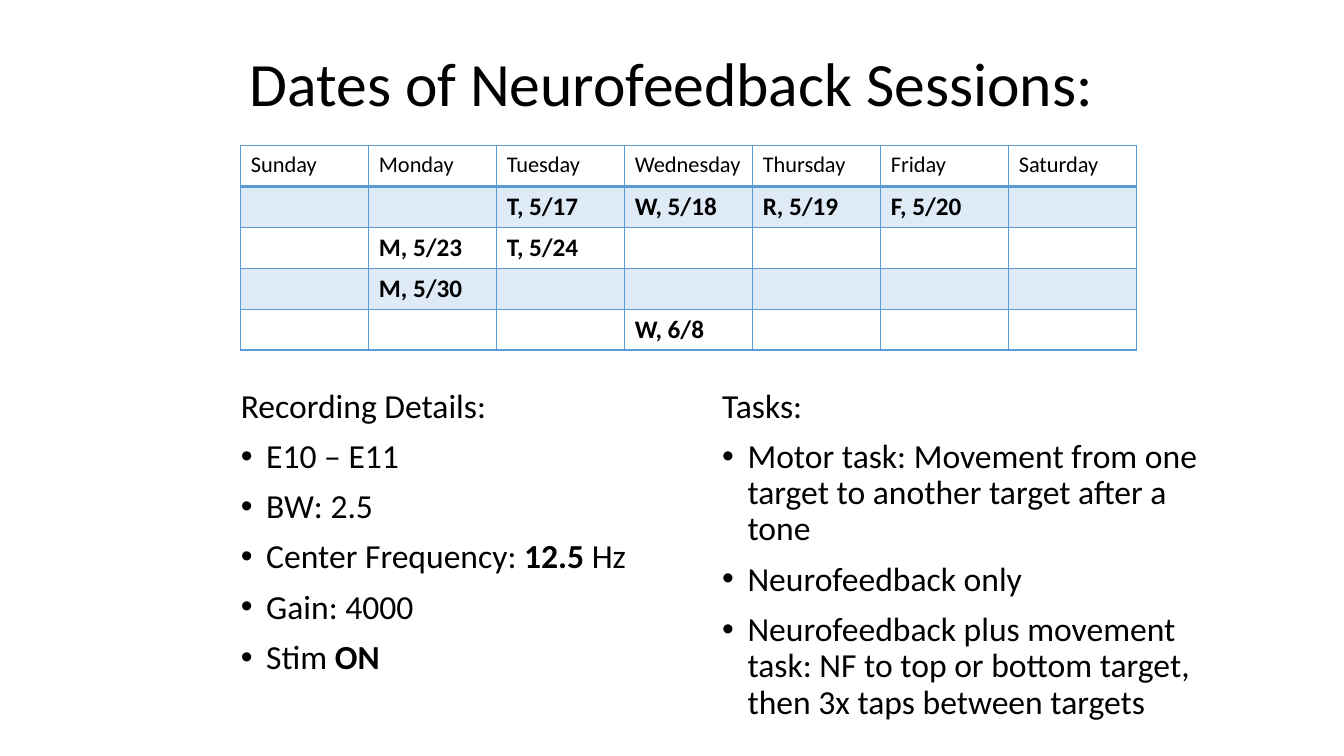
import pptx
import pptx.util
import pptx.dml.color
import pptx.enum.text
import pptx.oxml.ns
import lxml.etree
from dataclasses import dataclass
from pptx.util import Cm, Pt

TITLE = "Dates of Neurofeedback Sessions:"
DAYS = ["Sunday", "Monday", "Tuesday", "Wednesday", "Thursday", "Friday", "Saturday"]
WEEKS = [
    {"Tuesday": "T, 5/17", "Wednesday": "W, 5/18", "Thursday": "R, 5/19", "Friday": "F, 5/20"},
    {"Monday": "M, 5/23", "Tuesday": "T, 5/24"},
    {"Monday": "M, 5/30"},
    {"Wednesday": "W, 6/8"},
]
# Each list item is a sequence of (text, bold) runs.
COLUMNS = [
    ("Recording Details:", [
        [("E10 – E11", False)],
        [("BW: 2.5", False)],
        [("Center Frequency: ", False), ("12.5", True), (" Hz", False)],
        [("Gain: 4000", False)],
        [("Stim ", False), ("ON", True)],
    ]),
    ("Tasks:", [
        [("Motor task: Movement from one target to another target after a tone", False)],
        [("Neurofeedback only", False)],
        [("Neurofeedback plus movement task: NF to top or bottom target, "
          "then 3x taps between targets", False)],
    ]),
]


@dataclass(frozen=True)
class Theme:
    font: str = "Calibri"
    text: str = "000000"
    border: str = "5B9BD5"
    band: str = "DEEBF7"
    title_size: int = 44
    body_size: int = 24
    day_size: int = 16
    date_size: int = 18
    line_spacing: float = 0.9


THEME = Theme()


def add_run(paragraph, text, size, bold=False):
    run = paragraph.add_run()
    run.text = text
    run.font.name = THEME.font
    run.font.size = Pt(size)
    run.font.bold = bold
    run.font.color.rgb = pptx.dml.color.RGBColor.from_string(THEME.text)


def add_text_frame(slide, left, top, width, height):
    frame = slide.shapes.add_textbox(left, top, width, height).text_frame
    frame.word_wrap = True
    return frame


def add_bullet(paragraph):
    properties = paragraph._p.get_or_add_pPr()
    properties.set("marL", str(Cm(0.64)))
    properties.set("indent", str(-Cm(0.64)))
    font = lxml.etree.SubElement(properties, pptx.oxml.ns.qn("a:buFont"))
    font.set("typeface", "Arial")
    lxml.etree.SubElement(properties, pptx.oxml.ns.qn("a:buChar")).set("char", "•")


def set_borders(cell, top, bottom):
    """Draw the four cell edges; top and bottom are widths in points."""
    properties = cell._tc.get_or_add_tcPr()
    edges = [("a:lnL", 1), ("a:lnR", 1), ("a:lnT", top), ("a:lnB", bottom)]
    for position, (tag, width) in enumerate(edges):
        line = lxml.etree.Element(pptx.oxml.ns.qn(tag), w=str(Pt(width)))
        fill = lxml.etree.SubElement(line, pptx.oxml.ns.qn("a:solidFill"))
        lxml.etree.SubElement(fill, pptx.oxml.ns.qn("a:srgbClr")).set("val", THEME.border)
        properties.insert(position, line)


def add_title(slide):
    frame = add_text_frame(slide, Cm(2.33), Cm(0.34), Cm(29.21), Cm(3.68))
    frame.vertical_anchor = pptx.enum.text.MSO_ANCHOR.MIDDLE
    paragraph = frame.paragraphs[0]
    paragraph.alignment = pptx.enum.text.PP_ALIGN.CENTER
    paragraph.line_spacing = THEME.line_spacing
    add_run(paragraph, TITLE, THEME.title_size)


def add_calendar(slide):
    rows = [dict(zip(DAYS, DAYS))] + WEEKS
    column_width, row_height = Cm(3.225), Cm(1.03)
    table = slide.shapes.add_table(
        len(rows), len(DAYS), Cm(6.07), Cm(3.67),
        column_width * len(DAYS), row_height * len(rows)).table
    table.first_row = False
    table.horz_banding = False
    for column in table.columns:
        column.width = column_width
    for row_index, entries in enumerate(rows):
        table.rows[row_index].height = row_height
        is_header = row_index == 0
        size = THEME.day_size if is_header else THEME.date_size
        for column_index, day in enumerate(DAYS):
            cell = table.cell(row_index, column_index)
            if row_index % 2:
                cell.fill.solid()
                cell.fill.fore_color.rgb = pptx.dml.color.RGBColor.from_string(THEME.band)
            else:
                cell.fill.background()
            set_borders(cell, top=2 if row_index == 1 else 1, bottom=2 if is_header else 1)
            paragraph = cell.text_frame.paragraphs[0]
            if day in entries:
                add_run(paragraph, entries[day], size, bold=not is_header)
            else:
                paragraph.font.size = Pt(size)


def add_columns(slide):
    left, step, inset = Cm(5.82), Cm(12.13), Cm(0.25)
    for index, (heading, items) in enumerate(COLUMNS):
        frame = add_text_frame(
            slide, left + index * step, Cm(9.68), step + 2 * inset, Cm(6.43))
        for item_index, runs in enumerate([[(heading, False)]] + items):
            paragraph = frame.add_paragraph() if item_index else frame.paragraphs[0]
            paragraph.line_spacing = THEME.line_spacing
            paragraph.space_before = Pt(10 if item_index else 0)
            if item_index:
                add_bullet(paragraph)
            for text, bold in runs:
                add_run(paragraph, text, THEME.body_size, bold)


def main():
    presentation = pptx.Presentation()
    presentation.slide_width, presentation.slide_height = Cm(33.87), Cm(19.05)
    slide = presentation.slides.add_slide(presentation.slide_layouts[6])
    add_title(slide)
    add_calendar(slide)
    add_columns(slide)
    presentation.save("out.pptx")


if __name__ == "__main__":
    main()
